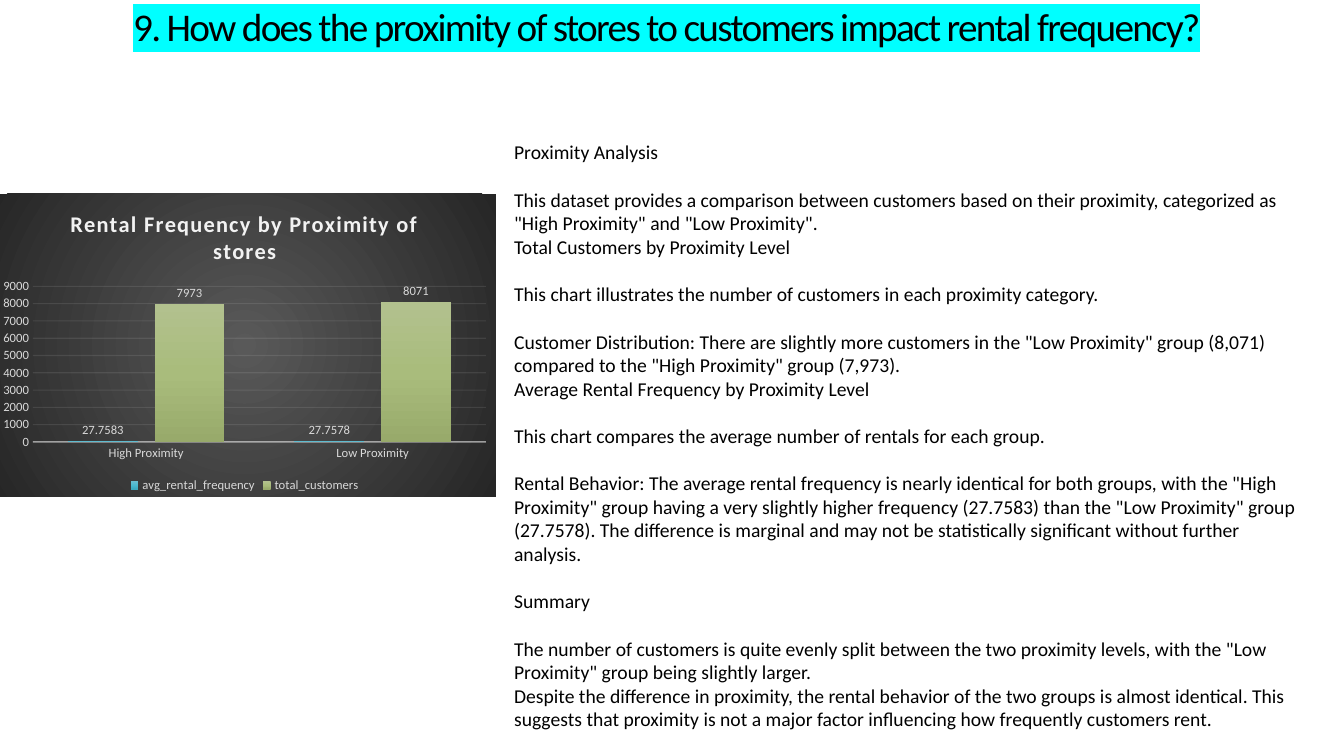
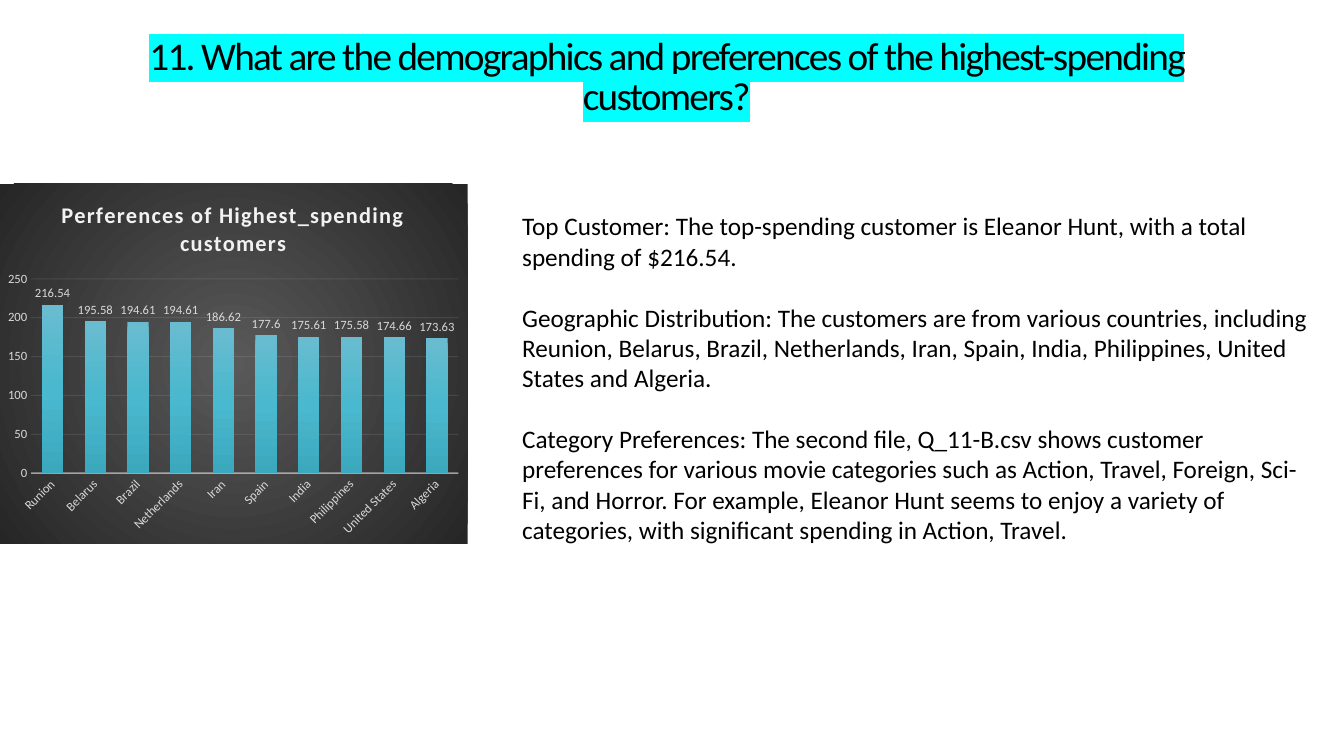
import dataclasses

import lxml.etree
import pptx
import pptx.chart.data
import pptx.dml.color
import pptx.enum.chart
import pptx.enum.text
import pptx.oxml
import pptx.oxml.ns
import pptx.util


@dataclasses.dataclass(frozen=True)
class Theme:
    font: str = "Calibri"
    ink: str = "000000"
    highlight: str = "00FFFF"
    chart_title: str = "F2F2F2"
    chart_text: str = "D9D9D9"
    backdrop: tuple = ((0, "595959"), (100, "262626"))
    fills: tuple = (
        ((0, "69BCCF"), (50, "4AB8CE"), (100, "3BA8BE")),
        ((0, "B2C18E"), (50, "A9BC7C"), (100, "98AA6B")),
    )
    title_size: int = 28
    title_tracking: float = -1.2
    title_leading: float = 0.85
    chart_title_size: int = 16
    chart_title_tracking: float = 1
    chart_size: int = 9
    blank_line: float = 1.2


def gradient(stops, direction):
    marks = "".join(
        f'<a:gs pos="{place * 1000}"><a:srgbClr val="{color}"/></a:gs>'
        for place, color in stops
    )
    return pptx.oxml.parse_xml(
        f'<a:gradFill {pptx.oxml.ns.nsdecls("a")}>'
        f"<a:gsLst>{marks}</a:gsLst>{direction}</a:gradFill>"
    )


DOWNWARD = '<a:lin ang="5400000" scaled="0"/>'
FROM_CENTRE = (
    '<a:path path="circle">'
    '<a:fillToRect l="50000" t="50000" r="50000" b="50000"/></a:path>'
)


class Deck:
    def __init__(self, theme):
        self.theme = theme
        self.deck = pptx.Presentation()
        self.deck.slide_width = pptx.util.Inches(13.33)
        self.deck.slide_height = pptx.util.Inches(7.5)
        self.page = None

    def area(self, left, top, width, height):
        across, down = self.deck.slide_width, self.deck.slide_height
        return [
            round(share * length / 100)
            for share, length in zip(
                (left, top, width, height), (across, down, across, down)
            )
        ]

    def place(self, box, area):
        box.left, box.top, box.width, box.height = self.area(*area)

    def style(self, font, size, color, bold=None):
        font.name = self.theme.font
        font.size = pptx.util.Pt(size)
        font.color.rgb = pptx.dml.color.RGBColor.from_string(color)
        font.bold = bold

    def track(self, span, points):
        properties = span._r.get_or_add_rPr()
        properties.set("spc", str(round(points * 100)))
        return properties

    def add_page(self):
        self.page = self.deck.slides.add_slide(self.deck.slide_layouts[1])

    def add_title(self, text, height):
        box = self.page.shapes.title
        self.place(box, (5.4, 0, 88.4, height))
        frame = box.text_frame
        frame.auto_size = pptx.enum.text.MSO_AUTO_SIZE.NONE
        frame.vertical_anchor = pptx.enum.text.MSO_ANCHOR.MIDDLE
        para = frame.paragraphs[0]
        para.alignment = pptx.enum.text.PP_ALIGN.CENTER
        para.line_spacing = self.theme.title_leading
        self.style(para.font, self.theme.title_size, self.theme.ink)
        span = para.add_run()
        span.text = text
        properties = self.track(span, self.theme.title_tracking)
        marker = lxml.etree.SubElement(properties, pptx.oxml.ns.qn("a:highlight"))
        color = lxml.etree.SubElement(marker, pptx.oxml.ns.qn("a:srgbClr"))
        color.set("val", self.theme.highlight)

    def add_body(self, area, groups, size):
        box = self.page.placeholders[1]
        self.place(box, area)
        frame = box.text_frame
        frame.word_wrap = True
        frame.auto_size = pptx.enum.text.MSO_AUTO_SIZE.NONE
        lines = [
            (text, text == group[-1]) for group in groups for text in group
        ]
        for number, (text, ends_group) in enumerate(lines):
            para = frame.add_paragraph() if number else frame.paragraphs[0]
            para.text = text
            para.space_before = pptx.util.Pt(0)
            gap = size * self.theme.blank_line if ends_group else 0
            para.space_after = pptx.util.Pt(round(gap))
            self.style(para.font, size, self.theme.ink)
            properties = para._p.get_or_add_pPr()
            properties.set("marL", "0")
            properties.set("indent", "0")
            bullet = lxml.etree.Element(pptx.oxml.ns.qn("a:buNone"))
            properties.find(pptx.oxml.ns.qn("a:defRPr")).addprevious(bullet)

    def fade_line(self, line, width, opacity):
        line.width = pptx.util.Pt(width)
        line.color.rgb = pptx.dml.color.RGBColor.from_string(self.theme.chart_title)
        color = line._ln.find(".//" + pptx.oxml.ns.qn("a:srgbClr"))
        alpha = lxml.etree.SubElement(color, pptx.oxml.ns.qn("a:alpha"))
        alpha.set("val", str(opacity * 1000))

    def add_columns(self, area, title, categories, series, legend=False, tilt=0):
        theme = self.theme
        data = pptx.chart.data.CategoryChartData()
        data.categories = categories
        for name, values in series.items():
            data.add_series(name, values)
        kind = pptx.enum.chart.XL_CHART_TYPE.COLUMN_CLUSTERED
        chart = self.page.shapes.add_chart(kind, *self.area(*area), data).chart
        self.style(chart.font, theme.chart_size, theme.chart_text)
        self.fill_backdrop(chart)

        chart.has_title = True
        para = chart.chart_title.text_frame.paragraphs[0]
        span = para.add_run()
        span.text = title
        self.style(span.font, theme.chart_title_size, theme.chart_title, True)
        self.track(span, theme.chart_title_tracking)
        chart.chart_title.include_in_layout = False

        chart.has_legend = legend
        if legend:
            chart.legend.position = pptx.enum.chart.XL_LEGEND_POSITION.BOTTOM
            chart.legend.include_in_layout = False
            self.style(chart.legend.font, theme.chart_size, theme.chart_text)

        self.style_axes(chart, tilt)
        plot = chart.plots[0]
        plot.vary_by_categories = False
        plot.gap_width = 100
        plot.overlap = -24
        for bars, stops in zip(plot.series, theme.fills):
            bars.format.fill.gradient()
            old = bars._element.find(".//" + pptx.oxml.ns.qn("a:gradFill"))
            old.getparent().replace(old, gradient(stops, DOWNWARD))
            labels = bars.data_labels
            labels.show_value = True
            labels.number_format = "General"
            labels.number_format_is_linked = False
            labels.position = pptx.enum.chart.XL_LABEL_POSITION.OUTSIDE_END
            self.style(labels.font, theme.chart_size, theme.chart_text)

    def fill_backdrop(self, chart):
        backdrop = pptx.oxml.parse_xml(
            f'<c:spPr {pptx.oxml.ns.nsdecls("c", "a")}>'
            "<a:ln><a:noFill/></a:ln></c:spPr>"
        )
        backdrop.insert(0, gradient(self.theme.backdrop, FROM_CENTRE))
        chart._chartSpace.find(pptx.oxml.ns.qn("c:chart")).addnext(backdrop)

    def style_axes(self, chart, tilt):
        for axis in (chart.category_axis, chart.value_axis):
            axis.major_tick_mark = pptx.enum.chart.XL_TICK_MARK.NONE
            axis.minor_tick_mark = pptx.enum.chart.XL_TICK_MARK.NONE
            self.style(
                axis.tick_labels.font, self.theme.chart_size, self.theme.chart_text
            )
        self.fade_line(chart.category_axis.format.line, 1, 54)
        chart.value_axis.format.line.fill.background()
        chart.value_axis.has_major_gridlines = True
        self.fade_line(chart.value_axis.major_gridlines.format.line, 0.75, 10)
        if tilt:
            labels = chart.category_axis._element.find(
                pptx.oxml.ns.qn("c:txPr") + "/" + pptx.oxml.ns.qn("a:bodyPr")
            )
            labels.set("rot", str(tilt * 60000))

    def save(self):
        self.deck.save("out.pptx")


PROXIMITY_NOTES = [
    ["Proximity Analysis"],
    [
        'This dataset provides a comparison between customers based on their proximity, categorized as "High Proximity" and "Low Proximity".',
        "Total Customers by Proximity Level",
    ],
    ["This chart illustrates the number of customers in each proximity category."],
    [
        'Customer Distribution: There are slightly more customers in the "Low Proximity" group (8,071) compared to the "High Proximity" group (7,973).',
        "Average Rental Frequency by Proximity Level",
    ],
    ["This chart compares the average number of rentals for each group."],
    [
        'Rental Behavior: The average rental frequency is nearly identical for both groups, with the "High Proximity" group having a very slightly higher frequency (27.7583) than the "Low Proximity" group (27.7578). The difference is marginal and may not be statistically significant without further analysis.'
    ],
    ["Summary"],
    [
        'The number of customers is quite evenly split between the two proximity levels, with the "Low Proximity" group being slightly larger.',
        "Despite the difference in proximity, the rental behavior of the two groups is almost identical. This suggests that proximity is not a major factor influencing how frequently customers rent.",
    ],
]

SPENDING_NOTES = [
    ["Top Customer: The top-spending customer is Eleanor Hunt, with a total spending of $216.54."],
    [
        "Geographic Distribution: The customers are from various countries, including Reunion, Belarus, Brazil, Netherlands, Iran, Spain, India, Philippines, United States and Algeria."
    ],
    [
        "Category Preferences: The second file, Q_11-B.csv shows customer preferences for various movie categories such as Action, Travel, Foreign, Sci-Fi, and Horror. For example, Eleanor Hunt seems to enjoy a variety of categories, with significant spending in Action, Travel."
    ],
]

SPENDING = {
    "Runion": 216.54,
    "Belarus": 195.58,
    "Brazil": 194.61,
    "Netherlands": 194.61,
    "Iran": 186.62,
    "Spain": 177.6,
    "India": 175.61,
    "Philippines": 175.58,
    "United States": 174.66,
    "Algeria": 173.63,
}


def main():
    deck = Deck(Theme())

    deck.add_page()
    deck.add_title(
        "9. How does the proximity of stores to customers impact rental frequency?", 7.9
    )
    deck.add_columns(
        (-0.5, 25.6, 37.4, 40.1),
        "Rental Frequency by Proximity of stores",
        ["High Proximity", "Low Proximity"],
        {"avg_rental_frequency": (27.7583, 27.7578), "total_customers": (7973, 8071)},
        legend=True,
    )
    deck.add_body((37.5, 17.9, 60.8, 79.9), PROXIMITY_NOTES, 14)

    deck.add_page()
    deck.add_title(
        "11. What are the demographics and preferences of the highest-spending customers?", 20.9
    )
    deck.add_columns(
        (-0.1, 24.3, 34.9, 47.6),
        "Perferences of Highest_spending customers",
        list(SPENDING),
        {"Series 1": list(SPENDING.values())},
        tilt=-45,
    )
    deck.add_body((38.1, 27.2, 60.6, 49.9), SPENDING_NOTES, 18)

    deck.save()


if __name__ == "__main__":
    main()
